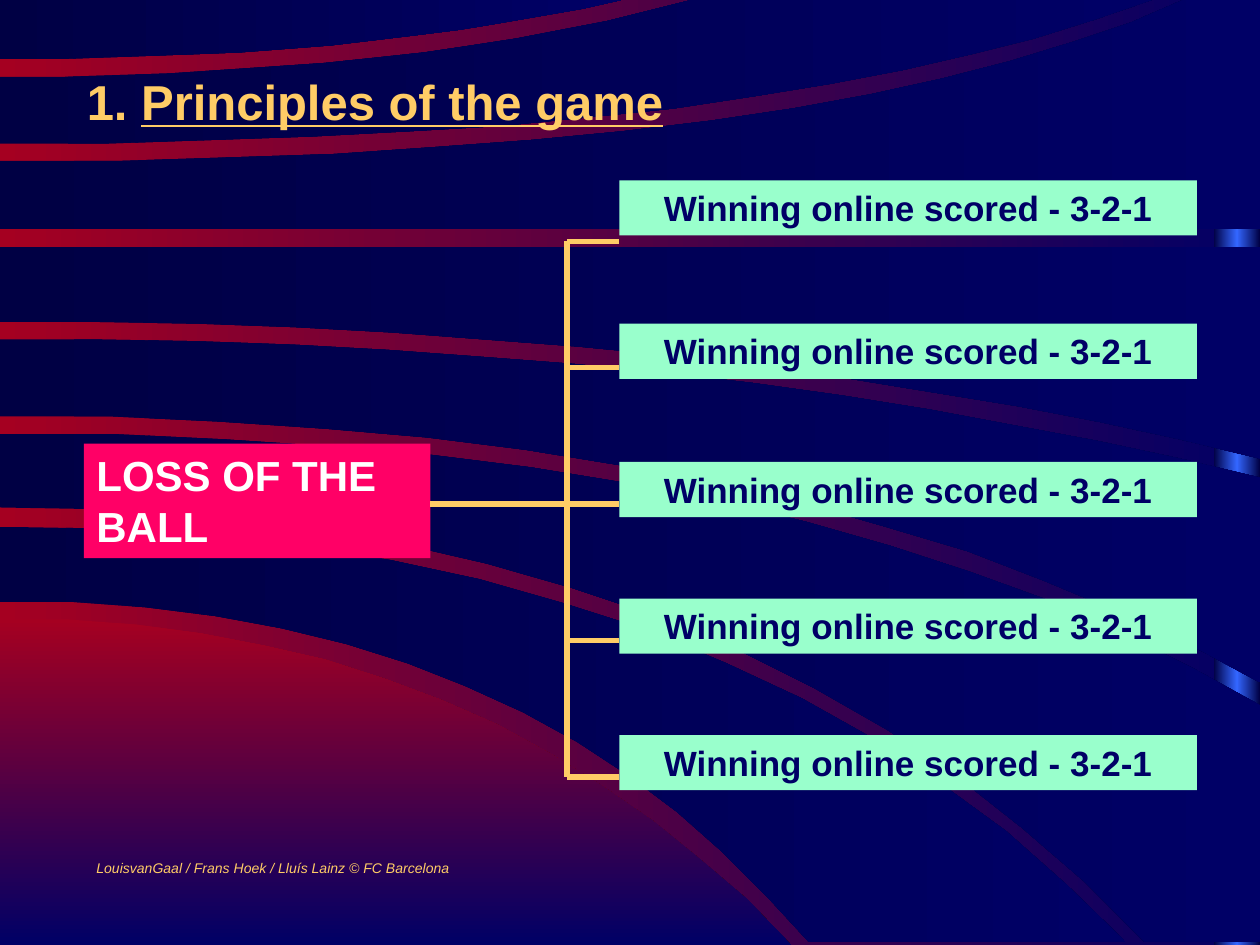
"""Build the 'Principles of the game' slide: one cause branching into five outcomes."""
from copy import deepcopy
from dataclasses import dataclass
from typing import NamedTuple

from lxml import etree
from pptx import Presentation
from pptx import util as u
from pptx.dml.color import RGBColor
from pptx.enum import shapes, text
from pptx.oxml import ns


@dataclass(frozen=True)
class Theme:
    font: str = "Arial"
    night: str = "000044"
    navy: str = "000066"
    crimson: str = "A50021"
    blue: str = "3366FF"
    pink: str = "FF0066"
    mint: str = "99FFCC"
    gold: str = "FFCC66"
    white: str = "FFFFFF"
    title: int = 28
    cause: int = 24
    outcome: int = 20
    credit: int = 8
    rule: int = 3


class Edge(NamedTuple):
    start_y: float
    bend_x: float
    end_x: float
    end_y: float

    def points(self, steps=14):
        curve = []
        for step in range(steps + 1):
            t = step / steps
            x = 2 * t * (1 - t) * self.bend_x + t * t * self.end_x
            y = self.start_y + t * t * (self.end_y - self.start_y)
            curve.append((x, y))
        return curve


DOME = Edge(353.5, 279, 452, 540)
BANDS = [
    (Edge(301, 418, 643, 538.5), Edge(343.5, 302, 462, 538.5)),
    (Edge(247.5, 460, 720, 403), Edge(290, 423, 654.5, 538.5)),
    (Edge(193.5, 400, 720, 273), Edge(237.5, 454, 720, 390)),
    (Edge(141, 360, 720, 141), Edge(183.5, 404, 720, 262)),
    (Edge(92, 474, 676, 0), Edge(131, 360, 720, 131)),
    (Edge(44, 230, 395, 0), Edge(82, 441, 658, 0)),
    (Edge(0, 178, 355, 0), Edge(34, 200, 355, 0)),
]


def band_points(upper, lower):
    corner = (max(upper.end_x, lower.end_x), min(upper, lower, key=lambda edge: edge.end_x).end_y)
    return [*upper.points(), corner, *reversed(lower.points())]


def write(paragraph, content, *, font, size, color, bold=False, italic=False, underline=False):
    run = paragraph.add_run()
    run.text = content
    run.font.name = font
    run.font.size = u.Pt(size)
    run.font.color.rgb = RGBColor.from_string(color)
    run.font.bold = bold
    run.font.italic = italic
    run.font.underline = underline


def blend(fill, colors, angle=0):
    fill.gradient()
    fill.gradient_angle = -angle % 360
    first = fill.gradient_stops[0]._gs
    for _ in colors[2:]:
        first.addnext(deepcopy(first))
    for index, (stop, color) in enumerate(zip(fill.gradient_stops, colors)):
        stop.position = index / (len(colors) - 1)
        stop.color.rgb = RGBColor.from_string(color)


class Canvas:
    def __init__(self, slide, theme):
        self.slide = slide
        self.theme = theme

    def rectangle(self, left, top, width, height):
        shape = self.slide.shapes.add_shape(
            shapes.MSO_SHAPE.RECTANGLE, *map(u.Pt, (left, top, width, height)))
        shape.shadow.inherit = False
        shape.line.fill.background()
        return shape

    def strip(self, bounds, colors):
        blend(self.rectangle(*bounds).fill, colors)

    def outline(self, points, colors, angle=0):
        builder = self.slide.shapes.build_freeform(*points[0], scale=u.Pt(1))
        builder.add_line_segments(points[1:], close=True)
        shape = builder.convert_to_shape()
        shape.shadow.inherit = False
        shape.line.fill.background()
        blend(shape.fill, colors, angle)

    def fill_text(self, shape, runs, align, wrap=True, **style):
        frame = shape.text_frame
        frame.word_wrap = wrap
        frame.vertical_anchor = text.MSO_ANCHOR.TOP
        paragraph = frame.paragraphs[0]
        paragraph.alignment = align
        for content, extra in runs:
            write(paragraph, content, font=self.theme.font, **style, **extra)

    def box(self, bounds, content, fill, align=text.PP_ALIGN.LEFT, **style):
        shape = self.rectangle(*bounds)
        shape.fill.solid()
        shape.fill.fore_color.rgb = RGBColor.from_string(fill)
        self.fill_text(shape, [(content, {})], align, **style)

    def label(self, bounds, runs, **style):
        shape = self.slide.shapes.add_textbox(*map(u.Pt, bounds))
        self.fill_text(shape, runs, text.PP_ALIGN.LEFT, **style)

    def line(self, *ends):
        connector = self.slide.shapes.add_connector(
            shapes.MSO_CONNECTOR.STRAIGHT, *map(u.Pt, ends))
        connector.line.color.rgb = RGBColor.from_string(self.theme.gold)
        connector.line.width = u.Pt(self.theme.rule)
        etree.SubElement(connector._element.spPr, ns.qn("a:effectLst"))


def main():
    theme = Theme()
    presentation = Presentation()
    presentation.slide_width, presentation.slide_height = u.Pt(720), u.Pt(540)
    slide = presentation.slides.add_slide(presentation.slide_layouts[6])
    canvas = Canvas(slide, theme)

    blend(slide.background.fill, [theme.crimson, theme.navy])
    canvas.strip((693.5, 0, 26.5, 540), [theme.night, theme.blue, theme.night])
    canvas.outline([(0, 540), *DOME.points()], [theme.crimson, theme.navy], angle=90)
    for upper, lower in BANDS:
        canvas.outline(band_points(upper, lower), [theme.night, theme.navy])

    canvas.label((42.5, 37.5, 392, 41),
                 [("1. ", {}), ("Principles of the game", {"underline": True})],
                 size=theme.title, color=theme.gold, bold=True)
    canvas.box((48, 253.5, 198, 65.5), "LOSS OF THE BALL", theme.pink,
               size=theme.cause, color=theme.white, bold=True)

    trunk, outcome_left = 324, 354
    branches = [138, 210, 288, 366, 444]
    canvas.line(246, branches[2], trunk, branches[2])
    canvas.line(trunk, branches[0], trunk, branches[-1])
    for top, branch in zip([103, 185, 264, 342, 420], branches):
        canvas.line(trunk, branch, outcome_left, branch)
        canvas.box((outcome_left, top, 330, 31.5), "Winning online scored - 3-2-1",
                   theme.mint, text.PP_ALIGN.CENTER,
                   size=theme.outcome, color=theme.navy, bold=True)

    canvas.label((48, 487.5, 219, 17),
                 [("LouisvanGaal / Frans Hoek / Lluís Lainz © FC Barcelona", {})],
                 wrap=False, size=theme.credit, color=theme.gold, italic=True)
    presentation.save("out.pptx")


if __name__ == "__main__":
    main()
